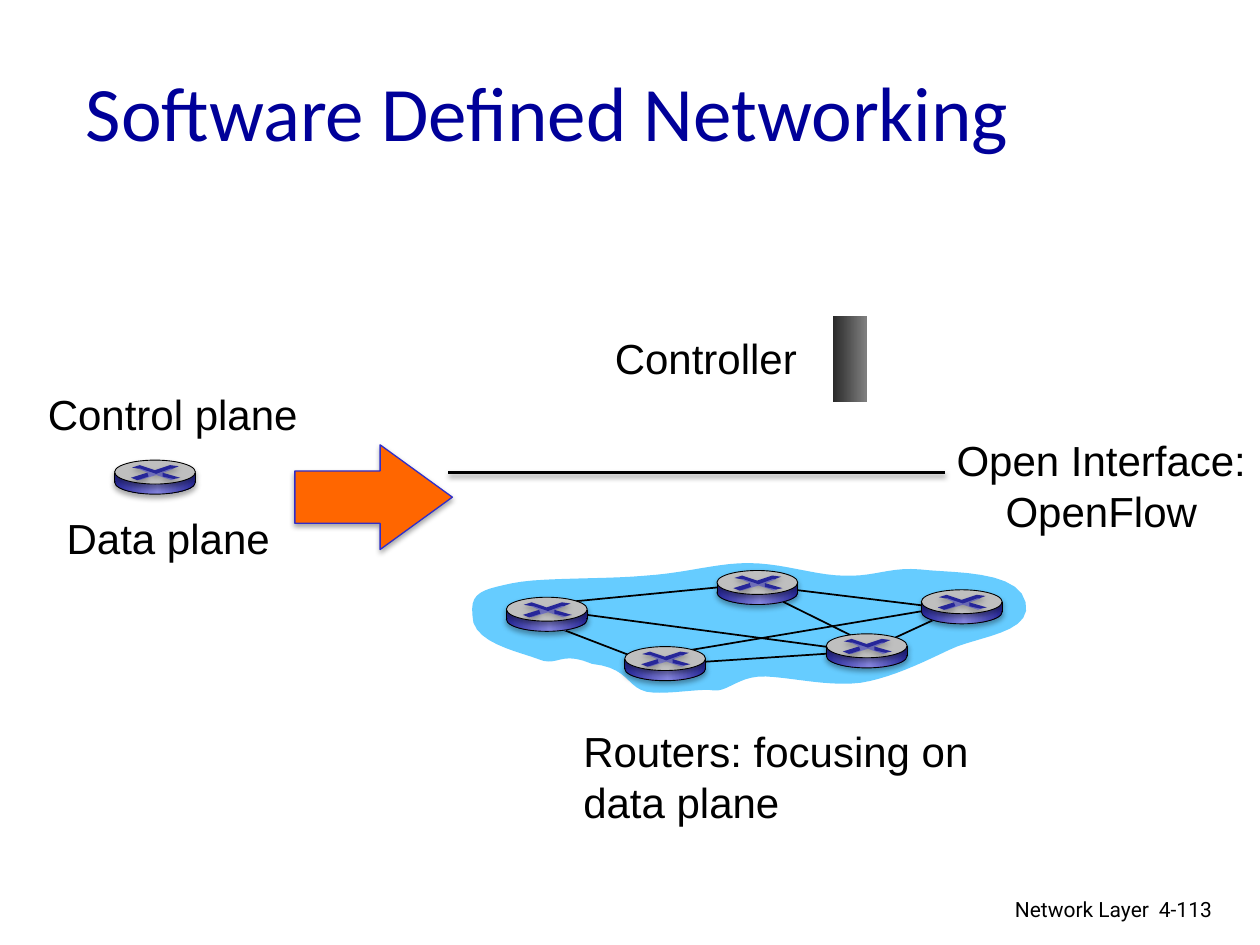
from copy import deepcopy
from lxml import etree
from pptx import Presentation
from pptx.dml.color import RGBColor
from pptx.enum import shapes as kinds, text as txt
from pptx.oxml import ns
from pptx.util import Pt

BLACK, NAVY, LILAC = "000000", "262699", "8585E0"
LEFT, MID, RIGHT = txt.PP_ALIGN.LEFT, txt.PP_ALIGN.CENTER, txt.PP_ALIGN.RIGHT
BOX = kinds.MSO_SHAPE.RECTANGLE
OVAL = kinds.MSO_SHAPE.OVAL
ARROW = kinds.MSO_SHAPE.RIGHT_ARROW

TITLE = "Software Defined Networking"
# lines, place (left, top, width, height), font, size, alignment
LABELS = [
    (["Network Layer"], (435.6, 509, 228.2, 22.3), "Roboto", 12, RIGHT),
    (["4-113"], (655.2, 509, 53.3, 21.6), "Roboto", 12, LEFT),
    (["Controller"], (344.2, 186.5, 140, 36), "Arial", 24, LEFT),
    (["Routers: focusing on", "data plane"],
     (326.2, 411.1, 243.4, 65.5), "Arial", 24, LEFT),
    (["Open Interface:", "OpenFlow"],
     (538.6, 244.8, 181.4, 65.5), "Arial", 24, MID),
    (["Control plane"], (20.2, 218.2, 164.2, 36), "Arial", 24, LEFT),
    (["Data plane"], (31, 289.4, 136.8, 36), "Arial", 24, LEFT),
]

# Cloud outline: a start, then curves of two control points and an end
START = (270, 351.4)
CURVES = [
    (268.6, 338.4, 275.8, 337, 292.3, 333.4),
    (308.9, 329.8, 346.3, 331.2, 368.6, 329),
    (391.7, 327.6, 409, 321.8, 427.7, 321.8),
    (447.1, 321.8, 466.6, 329, 482.4, 329),
    (499, 329.8, 508.3, 324, 525.6, 325.4),
    (542.9, 327.6, 581.8, 325.4, 586.1, 344.2),
    (590.4, 362.2, 558, 363.6, 542.2, 371.5),
    (525.6, 379.4, 509, 387.4, 491.8, 390.2),
    (473.8, 392.4, 453.6, 387.4, 437.8, 386.6),
    (422.6, 385.9, 416.2, 395.3, 408.2, 394.6),
    (400.3, 393.1, 380.9, 397.4, 369.4, 395.3),
    (357.8, 392.4, 359.3, 381.6, 338.4, 379.4),
    (319.7, 371.5, 319, 381.6, 307.4, 376.6),
    (295.9, 372.2, 269.3, 367.2, 270, 351.4),
]
LINKS = [
    (322.6, 344.2, 426.2, 334.1), (313.9, 348.5, 491.8, 372.2),
    (314.6, 357.1, 370.8, 378.7), (394.6, 378.7, 493.2, 372.2),
    (447.1, 336.2, 529.9, 346.3), (390.2, 372.2, 531.4, 348.5),
    (494.6, 372.2, 541.4, 350.6), (427.7, 334.1, 491.8, 365.8),
]
ROUTERS = [(526.5, 337), (409.7, 326), (289.4, 341.3), (472.2, 362.2),
           (357, 369.5), (65.5, 262.9)]

# Router parts, measured from its top left corner
CROSS = [(23.8, 8.6), (14.4, 11.5), (12.2, 10.8), (19.4, 8.6), (18.7, 7.2),
         (13.7, 5), (15.8, 5), (23, 7.2), (31.7, 4.3), (33.8, 5), (28, 7.2),
         (28.8, 9.4), (34.6, 10.8), (32.4, 11.5)]
MARKS = [
    [(10, 4.3), (14.4, 2.9), (23, 5.8), (31.7, 2.9), (36.7, 3.6), (33.1, 5),
     (31.7, 5), (23.8, 7.9), (15.1, 5), (13.7, 5)],
    [(27.4, 7.2), (37.4, 10.1), (33.8, 10.8), (27.4, 9.4)],
    [(18.7, 7.2), (19.4, 9.4), (13, 11.5), (9.4, 10.1)],
]
WIDE, HIGH, SIDE = 46.2, 13.7, 7.2
METAL = [(0, NAVY), (0.53, LILAC), (1, NAVY)]


def color(code):
    return RGBColor.from_string(code)


def paint(shape, fill):
    """Fill with one colour, or with a list of gradient stops."""
    if isinstance(fill, str):
        shape.fill.solid()
        shape.fill.fore_color.rgb = color(fill)
        return
    shape.fill.gradient()
    shape.fill.gradient_angle = 0
    stops = shape.element.spPr.find(".//" + ns.qn("a:gsLst"))
    while len(stops) < len(fill):
        stops.append(deepcopy(stops[0]))
    for stop, (pos, code) in zip(shape.fill.gradient_stops, fill):
        stop.position = pos
        stop.color.rgb = color(code)


def finish(shape, line=None, width=0.5, shade=False):
    """Set the line, then the shadow, which must follow it in the XML."""
    if line:
        shape.line.color.rgb = color(line)
        shape.line.width = Pt(width)
    else:
        shape.line.fill.background()
    effects = etree.SubElement(shape.element.spPr, ns.qn("a:effectLst"))
    if shade:
        drop = etree.SubElement(
            effects, ns.qn("a:outerShdw"), blurRad=str(Pt(3.1)),
            dist=str(Pt(1.8)), dir="5400000", rotWithShape="0")
        tone = etree.SubElement(drop, ns.qn("a:srgbClr"), val=BLACK)
        etree.SubElement(tone, ns.qn("a:alpha"), val="35000")


def block(home, kind, place, fill, **look):
    shape = home.add_shape(kind, *map(Pt, place))
    paint(shape, fill)
    finish(shape, **look)
    return shape


def wire(home, ends, width, shade=False):
    link = home.add_connector(kinds.MSO_CONNECTOR.STRAIGHT, *map(Pt, ends))
    finish(link, BLACK, width, shade)


def outline(home, points, fill, shade=False):
    spots = [(Pt(x), Pt(y)) for x, y in points]
    pen = home.build_freeform(*spots[0])
    pen.add_line_segments(spots[1:], close=True)
    shape = pen.convert_to_shape()
    paint(shape, fill)
    finish(shape, shade=shade)


def trace(start, curves, steps=10):
    """Points along a chain of cubic Bézier curves."""
    points = [start]
    for ax, ay, bx, by, *end in curves:
        chain = points[-1], (ax, ay), (bx, by), end
        for step in range(1, steps + 1):
            t = step / steps
            part = (1 - t)**3, 3 * t * (1 - t)**2, 3 * t * t * (1 - t), t**3
            points.append(tuple(
                sum(w * p[axis] for w, p in zip(part, chain))
                for axis in (0, 1)))
    return points


def router(home, x, y):
    parts = home.add_group_shape().shapes
    block(parts, OVAL, (x, y + 5.8, WIDE, HIGH), METAL, line=BLACK, shade=True)
    block(parts, BOX, (x, y + SIDE, WIDE, 5), METAL)
    block(parts, OVAL, (x, y, WIDE, HIGH), "BFBFBF", line=BLACK, shade=True)
    outline(parts, [(x + a, y + b) for a, b in CROSS], LILAC)
    for mark in MARKS:
        outline(parts, [(x + a, y + b) for a, b in mark], NAVY, True)
    for edge in (x, x + WIDE):
        wire(parts, (edge, y + SIDE + 5.4, edge, y + SIDE), 0.5, True)


def write(frame, lines, font, size, code, align):
    for i, line in enumerate(lines):
        para = frame.add_paragraph() if i else frame.paragraphs[0]
        para.alignment = align
        run = para.add_run()
        run.text = line
        run.font.name = font
        run.font.size = Pt(size)
        run.font.color.rgb = color(code)


def main():
    deck = Presentation()
    deck.slide_width, deck.slide_height = Pt(720), Pt(540)
    slide = deck.slides.add_slide(deck.slide_layouts[5])
    home = slide.shapes

    title = home.title
    title.left, title.top, title.width, title.height = map(
        Pt, (41.8, 18, 612, 90))
    title.text_frame.vertical_anchor = txt.MSO_ANCHOR.MIDDLE
    write(title.text_frame, [TITLE], "Calibri", 44, "000099", LEFT)

    outline(home, trace(START, CURVES), "66CCFF")
    for ends in LINKS:
        wire(home, ends, 1)
    for spot in ROUTERS:
        router(home, *spot)
    block(home, BOX, (475.9, 180.7, 19.4, 49), [(0, "292929"), (1, "808080")])
    wire(home, (256.3, 270, 540, 270), 2, True)
    for lines, place, font, size, align in LABELS:
        frame = home.add_textbox(*map(Pt, place)).text_frame
        frame.word_wrap = True
        write(frame, lines, font, size, BLACK, align)
    arrow = block(home, ARROW, (168.5, 254.2, 90, 59.8), "FF6600",
                  line="2E2ECB", width=0.75, shade=True)
    arrow.adjustments[0], arrow.adjustments[1] = 0.5, 0.69

    deck.save("out.pptx")


if __name__ == "__main__":
    main()
